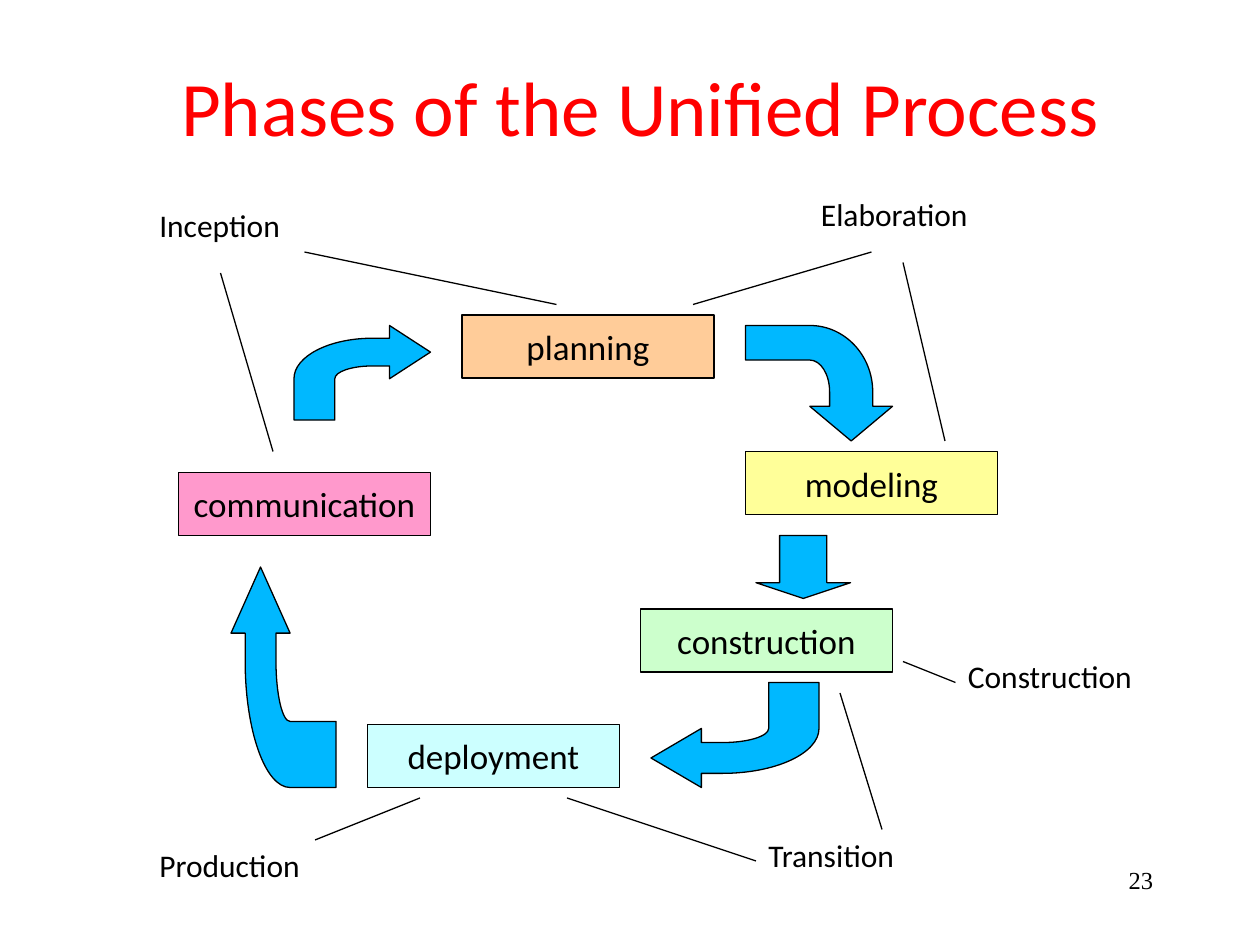
from dataclasses import dataclass

from lxml.etree import SubElement
from pptx import Presentation
from pptx.dml.color import RGBColor as RGB
from pptx.enum.shapes import MSO_CONNECTOR as Link, MSO_SHAPE as Kind
from pptx.enum.text import MSO_ANCHOR as Anchor, MSO_AUTO_SIZE as Fit, PP_ALIGN as Align
from pptx.oxml.ns import qn
from pptx.util import Inches, Pt


@dataclass(frozen=True)
class Theme:
    ink: str = "000000"
    title: str = "FF0000"
    arrow: str = "00B8FF"
    pink: str = "FF99CC"
    peach: str = "FFCC99"
    lemon: str = "FFFF99"
    mint: str = "CCFFCC"
    aqua: str = "CCFFFF"
    face: str = "Calibri"
    serif: str = "Times New Roman"
    head: int = 44
    box: int = 20
    label: int = 18
    page: int = 14
    line: float = 0.75


theme = Theme()


def write(shape, text, size=theme.label, color=theme.ink, face=theme.face,
          align=Align.LEFT, anchor=Anchor.TOP, space=None, fit=Fit.NONE):
    frame = shape.text_frame
    frame.word_wrap = True
    frame.auto_size = fit
    frame.vertical_anchor = anchor
    frame.text = text
    para = frame.paragraphs[0]
    para.alignment = align
    para.line_spacing = space
    font = para.runs[0].font
    font.size = Pt(size)
    font.name = face
    font.color.rgb = RGB.from_string(color)


def span(*cells):
    return [Inches(cell / 12) for cell in cells]


deck = Presentation()
deck.slide_width = Inches(10)
deck.slide_height = Inches(7.5)
slide = deck.slides.add_slide(deck.slide_layouts[5])
shapes = slide.shapes

page = shapes.add_textbox(Inches(7.17), Inches(6.83), Inches(2.08), Inches(0.32))
write(page, "23", size=theme.page, face=theme.serif, align=Align.RIGHT,
      space=0.95, fit=Fit.SHAPE_TO_FIT_TEXT)

title = shapes.title
title.left, title.top, title.width, title.height = span(10, 3, 102, 15)
write(title, "Phases of the Unified Process", size=theme.head, color=theme.title,
      align=Align.CENTER, anchor=Anchor.MIDDLE, space=0.95)

solids = []
steps = [
    ("communication", 17, 45, theme.pink),
    ("planning", 44, 30, theme.peach),
    ("modeling", 71, 43, theme.lemon),
    ("construction", 61, 58, theme.mint),
    ("deployment", 35, 69, theme.aqua),
]
for text, x, y, fill in steps:
    box = shapes.add_shape(Kind.RECTANGLE, *span(x, y, 24, 6))
    solids.append((box, fill))
    write(box, text, size=theme.box, align=Align.CENTER, anchor=Anchor.MIDDLE)

grid = 21600
outer = [(5564, 2912), (0, 7052), (0, 12158)]
inner = [(6474, 10549), (9140, 9246), (12427, 9246)]
bend = [(15126, 0), (15126, 2912), (12427, 2912), *outer, (0, grid), (6474, grid),
        (6474, 12158), *inner, (15126, 9246), (15126, 12158)]
bends = [
    (28, 31, 13, 9, 0),
    (72.5, 29.5, 11, 14, 90),
    (62, 65, 16, 10, 180),
    (16.5, 59.5, 21, 10, 270),
]
for x, y, wide, high, angle in bends:
    left, top, width, height = span(x, y, wide, high)
    form = shapes.build_freeform(grid, 6079, scale=(width / grid, height / grid))
    form.add_line_segments(bend, close=True)
    arrow = form.convert_to_shape(left, top)
    arrow.rotation = angle
    trace = next(arrow._element.iter(qn("a:path")))
    nodes = list(trace)
    for curve in (outer, inner):
        start = bend.index(curve[0]) + 1
        nodes[start].tag = qn("a:cubicBezTo")
        for node in nodes[start + 1:start + 3]:
            nodes[start].append(node[0])
            trace.remove(node)
    solids.append((arrow, theme.arrow))

down = shapes.add_shape(Kind.DOWN_ARROW, *span(72, 51, 9, 6))
down.adjustments[0] = 0.5
down.adjustments[1] = 0.25
solids.append((down, theme.arrow))

for shape, fill in solids:
    shape.shadow.inherit = False
    shape.fill.solid()
    shape.fill.fore_color.rgb = RGB.from_string(fill)
    shape.line.color.rgb = RGB.from_string(theme.ink)
    shape.line.width = Pt(theme.line)

phases = [
    ("Inception", 14, 19, 17.5),
    ("Elaboration", 77, 18, 21),
    ("Construction", 91, 62, 23),
    ("Transition", 72, 79, 18.8),
    ("Production", 14, 80, 19.9),
]
for text, x, y, wide in phases:
    label = shapes.add_textbox(*span(x, y, wide, 6))
    write(label, text, fit=Fit.SHAPE_TO_FIT_TEXT)

links = [
    (21, 26, 26, 43),
    (29, 24, 53, 29),
    (83, 24, 66, 29),
    (86, 25, 90, 42),
    (91, 65, 86, 63),
    (84, 79, 80, 66),
    (72, 82, 54, 76),
    (30, 80, 40, 76),
]
for ends in links:
    link = shapes.add_connector(Link.STRAIGHT, *span(*ends))
    link.line.color.rgb = RGB.from_string(theme.ink)
    link.line.width = Pt(theme.line)
    SubElement(link._element.spPr, qn("a:effectLst"))

deck.save("out.pptx")
